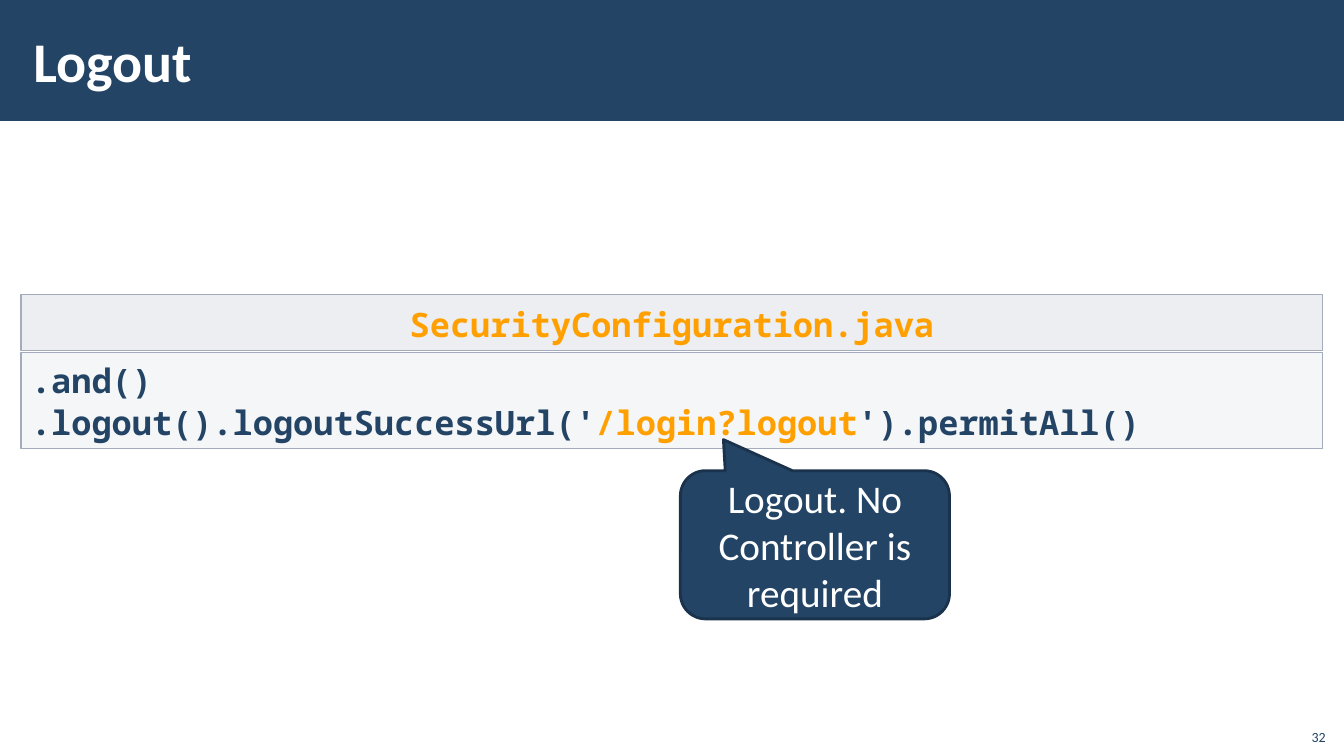
from lxml import etree
from pptx import Presentation
from pptx.dml.color import RGBColor
from pptx.enum.shapes import MSO_SHAPE
from pptx.enum.text import MSO_ANCHOR, PP_ALIGN
from pptx.oxml.ns import qn
from pptx.util import Pt

RECTANGLE = MSO_SHAPE.RECTANGLE
CALLOUT = MSO_SHAPE.ROUNDED_RECTANGULAR_CALLOUT
TOP, MIDDLE, BOTTOM = MSO_ANCHOR.TOP, MSO_ANCHOR.MIDDLE, MSO_ANCHOR.BOTTOM
LEFT, CENTER, RIGHT = PP_ALIGN.LEFT, PP_ALIGN.CENTER, PP_ALIGN.RIGHT

NAVY = RGBColor(0x23, 0x44, 0x65)
DARK_NAVY = RGBColor(0x1A, 0x32, 0x4B)
PANEL = RGBColor(0xC2, 0xC7, 0xD2)
PANEL_LINE = RGBColor(0xA3, 0xAB, 0xBC)
ORANGE = RGBColor(0xFF, 0xA0, 0x00)
WHITE = RGBColor(0xFF, 0xFF, 0xFF)

TEXT_FONT = "Calibri"
CODE_FONT = "Noto Sans Mono"
MARGIN = 15.12
PANEL_WIDTH = 929.5


def set_font(font, name, size, color=None, bold=False):
    font.name, font.size, font.bold = name, Pt(size), bold
    if color is not None:
        font.color.rgb = color


def set_frame(frame, anchor, side=7.2, edge=3.6):
    frame.word_wrap = True
    frame.vertical_anchor = anchor
    frame.margin_left = frame.margin_right = Pt(side)
    frame.margin_top = frame.margin_bottom = Pt(edge)


def write_line(frame, text, size, color, align, bold=False):
    para = frame.paragraphs[0]
    para.text = text
    para.alignment = align
    set_font(para.font, TEXT_FONT, size, color, bold)


def add_box(page, kind, left, top, width, height, fill, line=None, line_width=1):
    box = page.shapes.add_shape(kind, Pt(left), Pt(top), Pt(width), Pt(height))
    box.shadow.inherit = False
    box.fill.solid()
    box.fill.fore_color.rgb = fill
    if line is None:
        box.line.fill.background()
    else:
        box.line.color.rgb = line
        box.line.width = Pt(line_width)
    return box


def set_opacity(box, percent):
    color = box.fill._xPr.find(qn("a:solidFill"))[0]
    etree.SubElement(color, qn("a:alpha")).set("val", str(percent * 1000))


def add_code_panel(page, top, height, opacity, lines, align=LEFT, edge=3.6):
    """Add a translucent panel; each line is a list of (text, color) spans."""
    panel = add_box(page, RECTANGLE, MARGIN, top, PANEL_WIDTH, height,
                    PANEL, PANEL_LINE)
    set_opacity(panel, opacity)
    frame = panel.text_frame
    set_frame(frame, TOP, edge=edge)
    for index, spans in enumerate(lines):
        para = frame.add_paragraph() if index else frame.paragraphs[0]
        para.alignment = align
        para.line_spacing = 1.05
        set_font(para.font, CODE_FONT, 24, bold=True)
        for text, color in spans:
            span = para.add_run()
            span.text = text
            span.font.color.rgb = color


def add_title_band(page, text):
    band = add_box(page, RECTANGLE, 0, 0, 960, 86.4, NAVY)
    title = page.shapes.title
    title._element.addprevious(band._element)
    title.left, title.top = Pt(MARGIN), Pt(7.92)
    title.width, title.height = Pt(765.4), Pt(69.84)
    set_frame(title.text_frame, MIDDLE, side=8.64, edge=2.88)
    write_line(title.text_frame, text, 40, WHITE, LEFT, bold=True)


def add_callout(page, text):
    callout = add_box(page, CALLOUT, 486, 336.24, 192.24, 105.84,
                      NAVY, DARK_NAVY, 2)
    for index, value in enumerate((-0.34, -0.71, 0.17)):
        callout.adjustments[index] = value
    set_frame(callout.text_frame, MIDDLE)
    write_line(callout.text_frame, text, 28, WHITE, CENTER)


def add_page_number(page, number):
    box = page.shapes.add_textbox(Pt(925.2), Pt(512.64), Pt(28.8), Pt(23.04))
    set_frame(box.text_frame, BOTTOM)
    write_line(box.text_frame, number, 10, NAVY, RIGHT)


def main():
    deck = Presentation()
    deck.slide_width, deck.slide_height = Pt(960), Pt(540)
    page = deck.slides.add_slide(deck.slide_layouts.get_by_name("Title Only"))

    add_title_band(page, "Logout")
    add_code_panel(page, 252, 68.4, 15, [
        [(".and()", NAVY)],
        [(".logout().logoutSuccessUrl('", NAVY),
         ("/login?logout", ORANGE),
         ("').permitAll()", NAVY)],
    ])
    add_code_panel(page, 210.24, 40.32, 30,
                   [[("SecurityConfiguration.java", ORANGE)]], CENTER, edge=5.76)
    add_callout(page, "Logout. No Controller is required")
    add_page_number(page, "32")
    deck.save("out.pptx")


if __name__ == "__main__":
    main()
